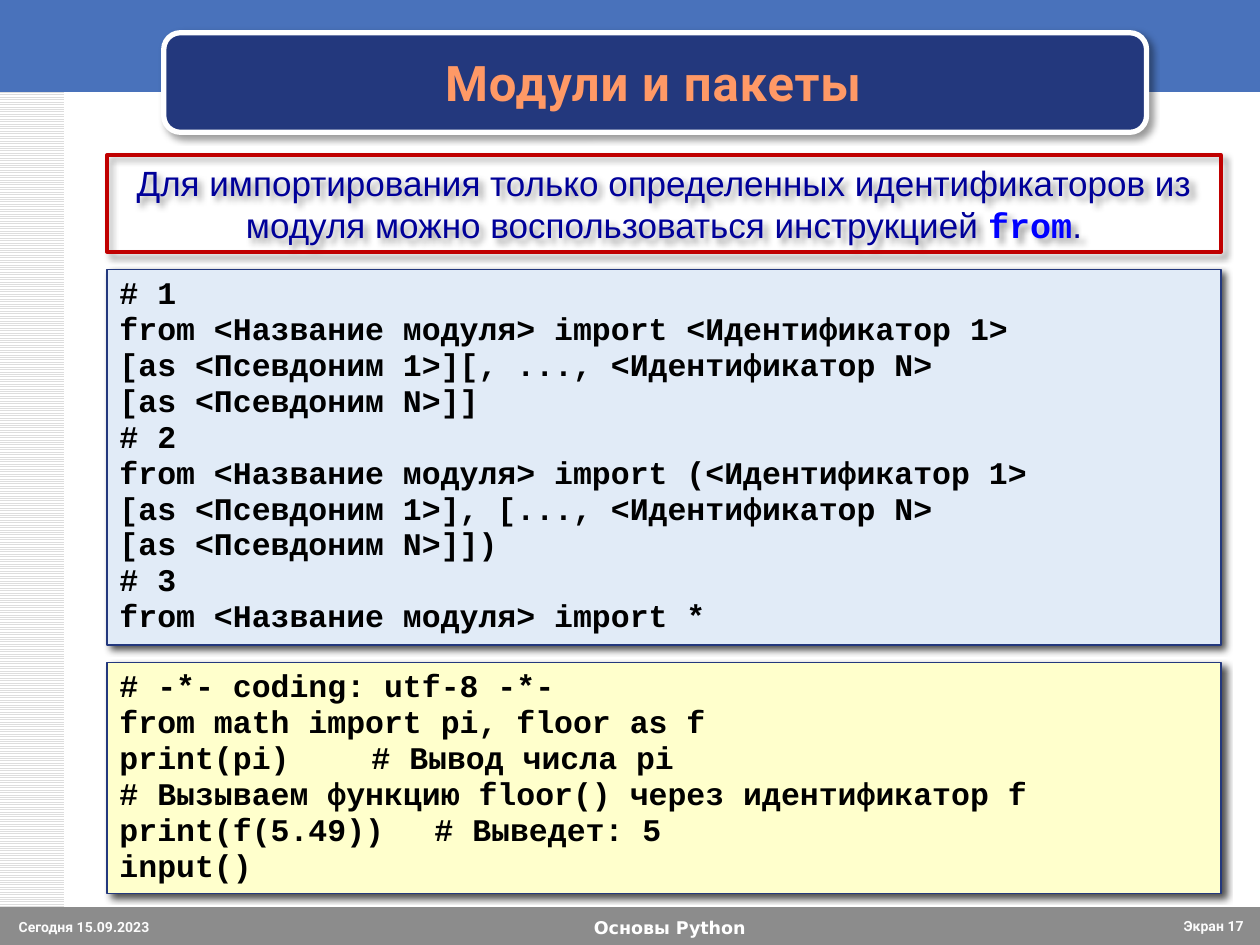
"""Build the slide on Python modules and packages."""

from dataclasses import dataclass
from typing import Optional

from lxml import etree
from pptx import Presentation
from pptx.dml.color import RGBColor
from pptx.enum.dml import MSO_PATTERN
from pptx.enum.shapes import MSO_SHAPE
from pptx.enum.text import MSO_ANCHOR, MSO_AUTO_SIZE, PP_ALIGN
from pptx.oxml.ns import qn
from pptx.util import Inches, Pt

RECT, ROUND = MSO_SHAPE.RECTANGLE, MSO_SHAPE.ROUNDED_RECTANGLE
LEFT, MID, RIGHT = PP_ALIGN.LEFT, PP_ALIGN.CENTER, PP_ALIGN.RIGHT
TOP, CENTER = MSO_ANCHOR.TOP, MSO_ANCHOR.MIDDLE
GROW, FIXED = MSO_AUTO_SIZE.SHAPE_TO_FIT_TEXT, MSO_AUTO_SIZE.NONE
LINED = MSO_PATTERN.LIGHT_HORIZONTAL


@dataclass(frozen=True)
class Style:
    font: str
    size: int
    color: str
    bold: bool = True
    space: float = 0


@dataclass(frozen=True)
class Theme:
    white: str = "FFFFFF"
    stripe: str = "DDDDDD"
    band: str = "4972BB"
    navy: str = "23387D"
    gray: str = "8C8C8C"
    red: str = "C00000"
    pale: str = "E1EBF7"
    cream: str = "FFFFCC"
    title: Style = Style("Roboto", 28, "FF9966", space=0.5)
    course: Style = Style("DejaVu Sans", 10, "FFFFFF")
    foot: Style = Style("Roboto", 8, "FBFBFB")
    body: Style = Style("Arial", 20, "000099", bold=False)
    word: Style = Style("Courier New", 20, "0000FF")
    code: Style = Style("Courier New", 18, "000000")


@dataclass(frozen=True)
class Area:
    left: float
    top: float
    width: float
    height: float

    def lengths(self) -> list:
        return [Inches(v) for v in (self.left, self.top, self.width, self.height)]


@dataclass(frozen=True)
class Panel:
    area: Area
    fill: Optional[str] = None
    line: Optional[str] = None
    weight: float = 0
    shade: int = 0
    kind: int = RECT


@dataclass(frozen=True)
class Label:
    area: Area
    text: str
    style: Style
    align: int = LEFT
    anchor: int = TOP
    size: int = FIXED


THEME = Theme()

SYNTAX = """# 1
from <Название модуля> import <Идентификатор 1>
[as <Псевдоним 1>][, ..., <Идентификатор N>
[as <Псевдоним N>]]
# 2
from <Название модуля> import (<Идентификатор 1>
[as <Псевдоним 1>], [..., <Идентификатор N>
[as <Псевдоним N>]])
# 3
from <Название модуля> import *"""

SAMPLE = """# -*- coding: utf-8 -*-
from math import pi, floor as f
print(pi)\t\t# Вывод числа pi
# Вызываем функцию floor() через идентификатор f
print(f(5.49))\t# Выведет: 5
input()"""

RULE = [
    ("Для импортирования только определенных идентификаторов из модуля "
     "можно воспользоваться инструкцией ", THEME.body),
    ("from", THEME.word),
    (".", THEME.body),
]

FRAME = [
    Panel(Area(0, -0.03, 10, 0.76), THEME.band),
    Panel(Area(1.3, 0.26, 7.8, 0.79), THEME.navy, THEME.white, 3, 40, ROUND),
    Panel(Area(0, 7.2, 10, 0.33), THEME.gray),
]

LABELS = [
    Label(Area(2.66, 7.23, 5.31, 0.27), "Основы Python", THEME.course, MID, size=GROW),
    Label(Area(0.05, 7.24, 1.65, 0.26), "Сегодня 15.09.2023", THEME.foot),
    Label(Area(9.13, 7.23, 0.84, 0.27), "Экран 17", THEME.foot, RIGHT),
    Label(Area(1.38, 0.34, 7.61, 0.62), "Модули и пакеты", THEME.title, MID, CENTER),
]

NOTE = Panel(Area(0.85, 1.23, 8.84, 0.77), None, THEME.red, 2, 40)

CODE = [
    (Panel(Area(0.85, 2.14, 8.84, 2.98), THEME.pale, THEME.navy, 0.75, 70), SYNTAX),
    (Panel(Area(0.85, 5.26, 8.84, 1.83), THEME.cream, THEME.navy, 0.75, 70), SAMPLE),
]


def rgb(color: str) -> RGBColor:
    return RGBColor.from_string(color)


def add_shade(shape, alpha: int) -> None:
    effects = shape.element.spPr.find(qn("a:effectLst"))
    outer = etree.SubElement(
        effects, qn("a:outerShdw"), blurRad=str(Pt(4)), dist=str(Pt(3)),
        dir=str(45 * 60000), algn="tl", rotWithShape="0")
    color = etree.SubElement(outer, qn("a:srgbClr"), val="000000")
    etree.SubElement(color, qn("a:alpha"), val=str(alpha * 1000))


def add_panel(slide, panel: Panel):
    shape = slide.shapes.add_shape(panel.kind, *panel.area.lengths())
    shape.shadow.inherit = False
    if panel.fill:
        shape.fill.solid()
        shape.fill.fore_color.rgb = rgb(panel.fill)
    else:
        shape.fill.background()
    if panel.line:
        shape.line.color.rgb = rgb(panel.line)
        shape.line.width = Pt(panel.weight)
    else:
        shape.line.fill.background()
    if panel.shade:
        add_shade(shape, panel.shade)
    return shape


def add_side(slide) -> None:
    side = add_panel(slide, Panel(Area(0, 0, 0.51, 7.5)))
    side.fill.patterned()
    side.fill.pattern = LINED
    side.fill.fore_color.rgb = rgb(THEME.stripe)
    side.fill.back_color.rgb = rgb(THEME.white)


def add_run(para, text: str, style: Style) -> None:
    run = para.add_run()
    run.text = text
    font = run.font
    font.name, font.size, font.bold = style.font, Pt(style.size), style.bold
    font.color.rgb = rgb(style.color)
    if style.space:
        run._r.get_or_add_rPr().set("spc", str(int(style.space * 100)))


def set_text(shape, lines: list, align: int = LEFT, anchor: int = TOP,
             size: int = GROW, pitch: float = 1.0) -> None:
    frame = shape.text_frame
    frame.word_wrap, frame.auto_size = True, size
    frame.vertical_anchor = anchor
    for index, runs in enumerate(lines):
        para = frame.add_paragraph() if index else frame.paragraphs[0]
        para.alignment, para.line_spacing = align, pitch
        for text, style in runs:
            add_run(para, text, style)


def main() -> None:
    deck = Presentation()
    deck.slide_width, deck.slide_height = Inches(10), Inches(7.5)
    slide = deck.slides.add_slide(deck.slide_layouts[6])
    add_side(slide)
    for panel in FRAME:
        add_panel(slide, panel)
    for label in LABELS:
        box = slide.shapes.add_textbox(*label.area.lengths())
        set_text(box, [[(label.text, label.style)]], label.align, label.anchor, label.size)
    set_text(add_panel(slide, NOTE), [RULE], MID)
    for panel, code in CODE:
        lines = [[(line, THEME.code)] for line in code.splitlines()]
        set_text(add_panel(slide, panel), lines, pitch=0.95)
    deck.save("out.pptx")


if __name__ == "__main__":
    main()
